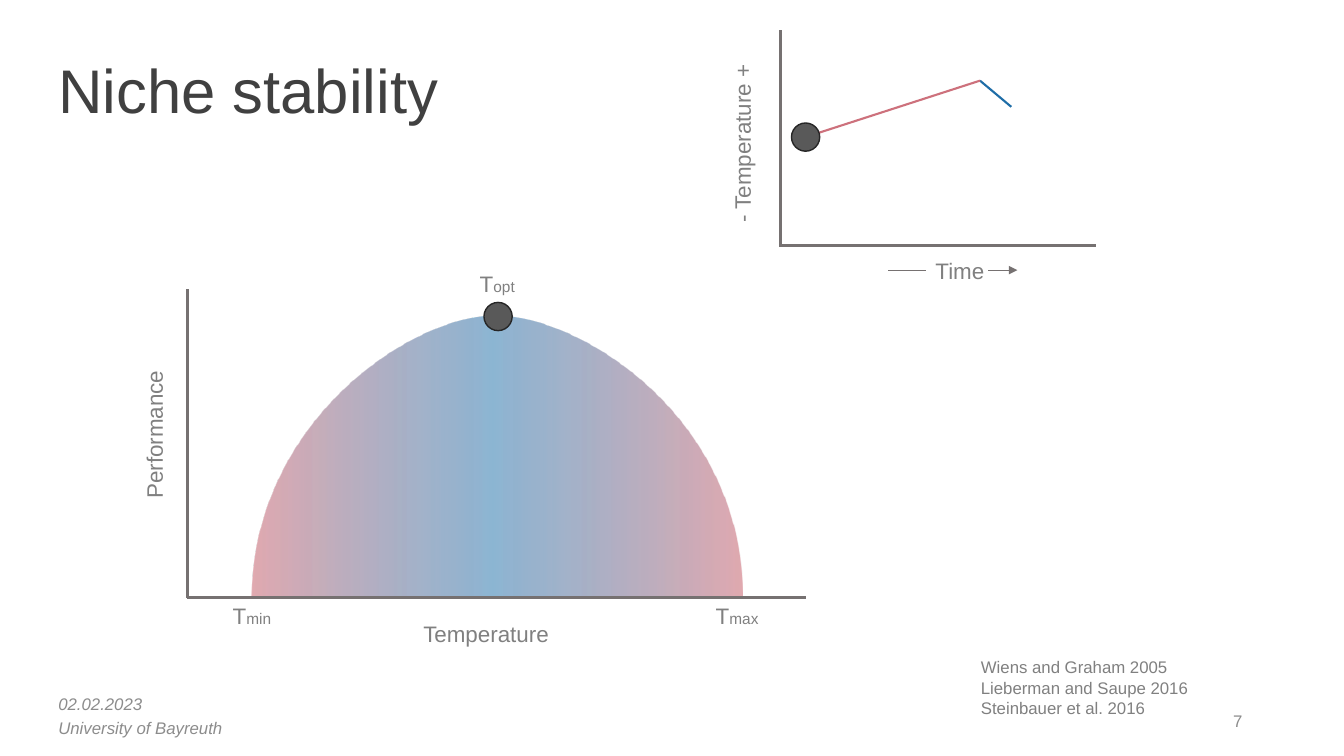
from dataclasses import dataclass

from lxml import etree
from pptx import Presentation
from pptx.dml.color import RGBColor
from pptx.enum.shapes import MSO_CONNECTOR, MSO_SHAPE
from pptx.enum.text import MSO_ANCHOR, MSO_AUTO_SIZE, PP_ALIGN
from pptx.oxml.ns import qn
from pptx.util import Inches, Pt


@dataclass(frozen=True)
class Theme:
    font: str = "Arial"
    title: str = "404040"
    label: str = "808080"
    footer: str = "8C8C8C"
    axis: str = "767171"
    warm: str = "CD717C"
    cool: str = "1E6DA7"
    marker: str = "595959"
    marker_edge: str = "262626"
    title_size: float = 44
    label_size: float = 16
    sub_size: float = 11
    small_size: float = 12
    axis_width: float = 2.25
    trend_width: float = 1.5
    arrow_width: float = 0.5
    marker_size: float = 0.28
    label_height: float = 0.37


THEME = Theme()


@dataclass(frozen=True)
class Box:
    x: float
    y: float
    w: float
    h: float

    def inner(self, x, y, w, h):
        """Return a box whose offset is counted from this box's corner."""
        return Box(self.x + x, self.y + y, w, h)

    def point(self, x, y):
        return Inches(self.x + x), Inches(self.y + y)

    def lengths(self):
        return [Inches(v) for v in (self.x, self.y, self.w, self.h)]


def rgb(color):
    return RGBColor.from_string(color)


def add_text(slide, box, text, size=THEME.label_size, color=THEME.label, sub="",
             italic=False, align=PP_ALIGN.LEFT, anchor=MSO_ANCHOR.TOP, spacing=None):
    """Add one paragraph per line of text; sub is a smaller ending."""
    s = slide.shapes.add_textbox(*box.lengths())
    tf = s.text_frame
    tf.word_wrap = True
    tf.vertical_anchor = anchor
    for i, line in enumerate(text.split("\n")):
        p = tf.add_paragraph() if i else tf.paragraphs[0]
        p.alignment = align
        p.line_spacing = spacing
        p.font.name = THEME.font
        p.font.size = Pt(size)
        p.font.italic = italic
        p.font.color.rgb = rgb(color)
        p.add_run().text = line
    if sub:
        r = p.add_run()
        r.text = sub
        r.font.size = Pt(THEME.sub_size)
    return s


def add_axis_title(slide, box, text):
    """Add a label that reads upwards."""
    s = add_text(slide, box, text)
    s.text_frame.word_wrap = False
    s.text_frame.auto_size = MSO_AUTO_SIZE.SHAPE_TO_FIT_TEXT
    s.rotation = 270


def add_line(slide, box, start, end, color, width, arrow=False):
    s = slide.shapes.add_connector(MSO_CONNECTOR.STRAIGHT, *box.point(*start), *box.point(*end))
    s.line.color.rgb = rgb(color)
    s.line.width = Pt(width)
    if arrow:
        etree.SubElement(s.line._get_or_add_ln(), qn("a:tailEnd"), type="triangle")
    etree.SubElement(s._element.spPr, qn("a:effectLst"))


def add_axes(slide, box):
    corner = (0, box.h)
    for start, end in (((0, 0), corner), ((box.w, box.h), (-0.01, box.h))):
        add_line(slide, box, start, end, THEME.axis, THEME.axis_width)


def add_marker(slide, box, x, y):
    d = THEME.marker_size
    s = slide.shapes.add_shape(MSO_SHAPE.OVAL, *box.inner(x - d / 2, y - d / 2, d, d).lengths())
    s.shadow.inherit = False
    s.fill.solid()
    s.fill.fore_color.rgb = rgb(THEME.marker)
    s.line.color.rgb = rgb(THEME.marker_edge)
    s.line.width = Pt(1)


def bezier(points, steps=40):
    """Sample a cubic curve, start included."""
    for i in range(steps + 1):
        t = i / steps
        weights = ((1 - t) ** 3, 3 * t * (1 - t) ** 2, 3 * t * t * (1 - t), t ** 3)
        yield tuple(sum(k * p[axis] for k, p in zip(weights, points)) for axis in (0, 1))


def fill_gradient(s, stops):
    """Fill from left to right with (position, colour, opacity) in percent."""
    s.fill.gradient()
    s.fill.gradient_angle = 0
    gs_list = s._element.spPr.find(qn("a:gradFill")).find(qn("a:gsLst"))
    for gs in list(gs_list):
        gs_list.remove(gs)
    for position, color, opacity in stops:
        gs = etree.SubElement(gs_list, qn("a:gs"), pos=str(position * 1000))
        clr = etree.SubElement(gs, qn("a:srgbClr"), val=color)
        etree.SubElement(clr, qn("a:alpha"), val=str(opacity * 1000))


def add_niche_curve(slide, box):
    peak = (3.05, 0.26)
    rise = bezier([(0.64, box.h), (0.66, 1.29), (2.24, 0.26), peak])
    fall = bezier([peak, (3.86, 0.26), (5.48, 1.23), (5.5, box.h - 0.01)])
    first, *rest = [box.point(*p) for p in (*rise, *fall)]
    builder = slide.shapes.build_freeform(*first)
    builder.add_line_segments(rest, close=True)
    s = builder.convert_to_shape()
    s.shadow.inherit = False
    s.line.fill.background()
    fill_gradient(s, ((0, THEME.warm, 60), (49, THEME.cool, 50), (100, THEME.warm, 60)))


def add_niche_chart(slide, box):
    h = THEME.label_height
    add_niche_curve(slide, box)
    add_axes(slide, box)
    add_axis_title(slide, box.inner(-1.09, 1.23, 1.52, h), "Performance")
    add_text(slide, box.inner(2.24, box.h + 0.17, 1.69, h), "Temperature")
    for x, y, w, sub in ((0.35, box.h - 0.01, 0.6, "min"), (5.14, box.h - 0.01, 0.73, "max"),
                         (2.8, -0.24, 0.73, "opt")):
        add_text(slide, box.inner(x, y, w, h), "T", sub=sub)
    add_marker(slide, box, 3.08, 0.27)


def add_climate_chart(slide, box):
    h = THEME.label_height
    start, turn, end = (0.25, 1.06), (1.98, 0.5), (2.29, 0.76)
    add_line(slide, box, turn, end, THEME.cool, THEME.trend_width)
    add_line(slide, box, start, turn, THEME.warm, THEME.trend_width)
    add_axes(slide, box)
    add_axis_title(slide, box.inner(-1.3, 0.9, 1.84, h), "- Temperature +")
    add_text(slide, box.inner(1.44, box.h + 0.06, 0.73, h), "Time")
    y = box.h + 0.24
    for x1, x2, arrow in ((1.07, 1.44, False), (2.06, 2.35, True)):
        add_line(slide, box, (x1, y), (x2, y), THEME.axis, THEME.arrow_width, arrow)
    add_marker(slide, box, *start)


def add_title(slide, box):
    add_text(slide, box, "Niche stability", THEME.title_size, THEME.title,
             anchor=MSO_ANCHOR.MIDDLE, spacing=0.9)


def add_footer(slide, box):
    size, color, middle = THEME.small_size, THEME.footer, MSO_ANCHOR.MIDDLE
    for y, w, text in ((0, 1.09, "02.02.2023"), (0.24, 2.25, "University of Bayreuth")):
        add_text(slide, box.inner(0, y, w, 0.4), text, size, color, italic=True, anchor=middle)
    add_text(slide, box.inner(box.w - 0.6, 0.17, 0.6, 0.4), "7", size, color,
             align=PP_ALIGN.RIGHT, anchor=middle)
    add_text(slide, box.inner(9.15, -0.31, 2.91, 0.71),
             "Wiens and Graham 2005\nLieberman and Saupe 2016\nSteinbauer et al. 2016", size)


def main():
    prs = Presentation()
    prs.slide_width, prs.slide_height = Inches(13.33), Inches(7.5)
    slide = prs.slides.add_slide(prs.slide_layouts[6])
    add_title(slide, Box(0.48, 0.2, 11.5, 1.45))
    add_niche_chart(slide, Box(1.86, 2.87, 6.13, 3.06))
    add_climate_chart(slide, Box(7.74, 0.3, 3.13, 2.14))
    add_footer(slide, Box(0.48, 6.78, 11.94, 0.64))
    prs.save("out.pptx")


if __name__ == "__main__":
    main()
